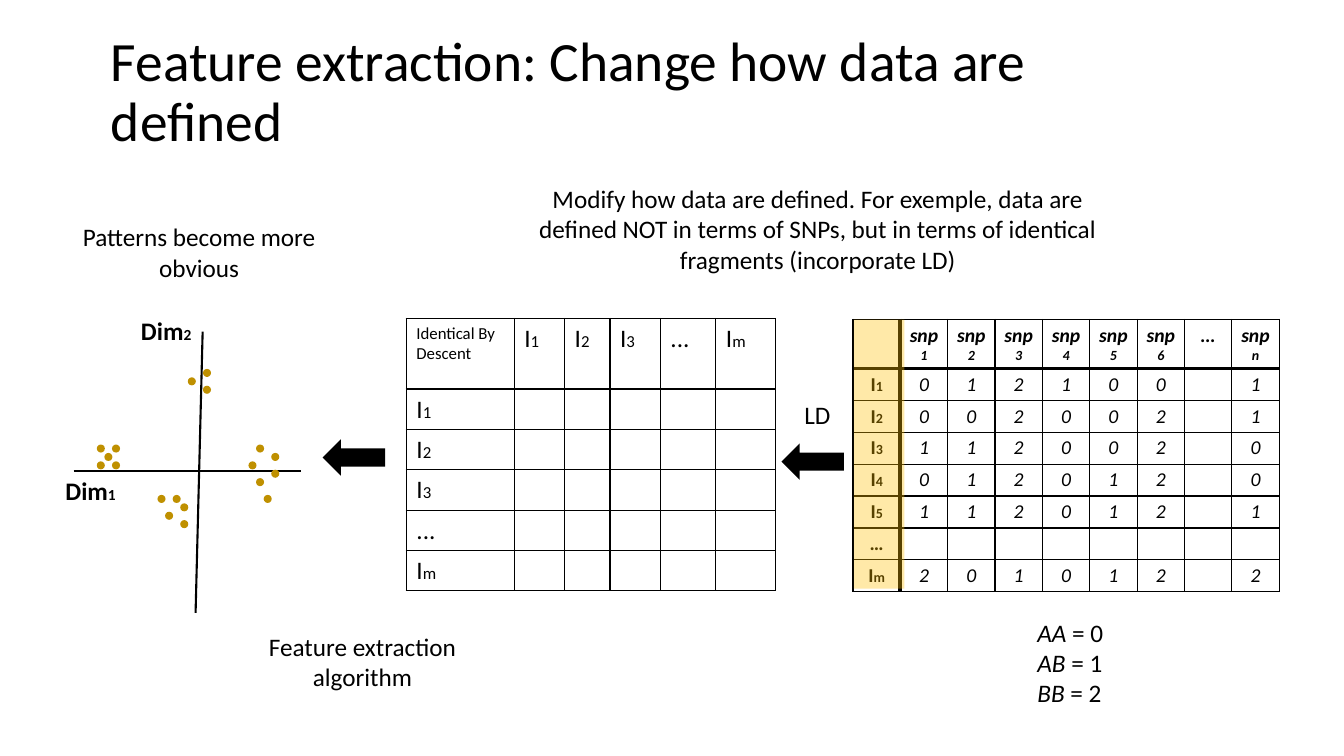
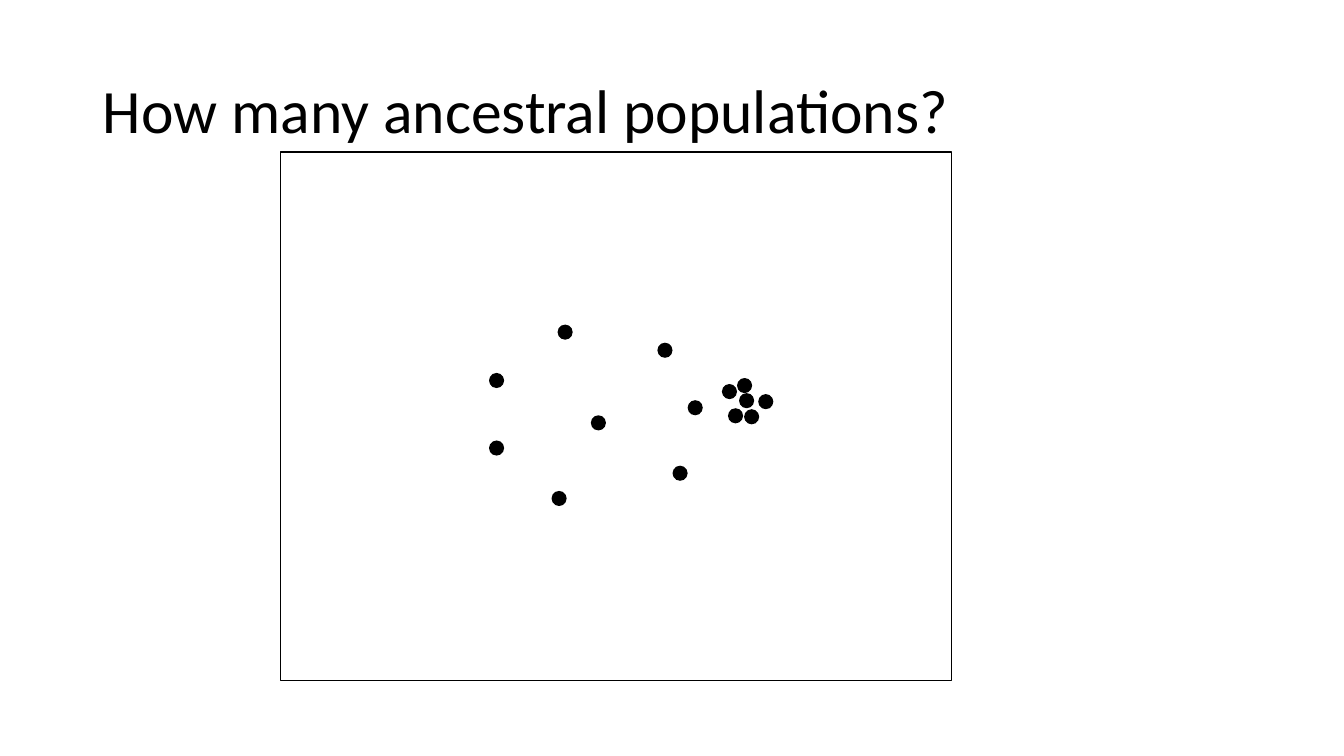
from dataclasses import dataclass

from lxml.etree import SubElement
from pptx import Presentation
from pptx.dml.color import RGBColor
from pptx.enum.shapes import MSO_CONNECTOR, MSO_SHAPE
from pptx.enum.text import MSO_ANCHOR, MSO_AUTO_SIZE, PP_ALIGN
from pptx.oxml.ns import qn
from pptx.util import Inches, Pt


@dataclass(frozen=True)
class Theme:
    """Colours, font and type sizes shared by the slides."""
    font: str = "Calibri"
    black: str = "000000"
    white: str = "FFFFFF"
    gold: str = "BF9000"
    highlight: str = "FFC000"
    title: float = 44
    long_title: float = 39.6
    body: float = 18
    cell: float = 14
    note: float = 12
    axis_subscript: float = 11
    cell_subscript: float = 10


@dataclass(frozen=True)
class Box:
    """A rectangle in inches."""
    left: float
    top: float
    width: float
    height: float

    def lengths(self):
        """Return the rectangle as slide lengths."""
        return [Inches(value) for value in (self.left, self.top, self.width, self.height)]

    def inner(self, left, top, width, height):
        """Return a rectangle placed relative to this one."""
        return Box(self.left + left, self.top + top, width, height)


THEME = Theme()
DOT_CLUSTERS = [
    [(20, 11), (21, 9), (21, 13), (22, 15), (23, 10), (23, 12)],
    [(12, 1), (14, 0), (14, 2)],
    [(0, 9), (0, 11), (1, 10), (2, 9), (2, 11)],
    [(8, 15), (9, 17), (10, 15), (11, 16), (11, 18)],
]
POPULATION_DOTS = [
    (2.07, 2.19), (2.69, 3.36), (3.08, 2.61), (2.75, 1.71), (3.89, 3.11),
    (3.74, 1.89), (2.07, 2.86), (4.04, 2.46), (4.44, 2.54), (4.55, 2.39),
    (4.53, 2.24), (4.38, 2.3), (4.6, 2.55), (4.74, 2.4),
]
INDIVIDUALS = ["I_1", "I_2", "I_3", "I_4", "I_5", "…", "I_m"]
GENOTYPES = ["012100 1", "002002 1", "112002 0", "012012 0", "112012 1", " " * 8, "201012 2"]
SNP_ROWS = [["", "snp_1", "snp_2", "snp_3", "snp_4", "snp_5", "snp_6", "…", "snp_n"]] + [
    [name, *calls.replace(" ", "-")] for name, calls in zip(INDIVIDUALS, GENOTYPES)
]
DESCENT_NAMES = ["I_1", "I_2", "I_3", "...", "I_m"]


def color(value):
    """Return a colour object for a hexadecimal value."""
    return RGBColor.from_string(value)


def style_paragraph(paragraph, size, bold=False, italic=False, align=PP_ALIGN.LEFT):
    """Set the shared font and the given style on a paragraph."""
    paragraph.alignment = align
    font = paragraph.font
    font.name, font.size, font.bold, font.italic = THEME.font, Pt(size), bold, italic
    font.color.rgb = color(THEME.black)


def write_label(paragraph, label, size, subscript_size=None, **style):
    """Write a label whose part after an underscore is set smaller."""
    style_paragraph(paragraph, size, **style)
    base, _, subscript = label.partition("_")
    paragraph.add_run().text = base
    if subscript:
        run = paragraph.add_run()
        run.text = subscript
        run.font.size = Pt(subscript_size)


def add_text_frame(shapes, box, wrap=True):
    """Add a text box that grows with its text and return its frame."""
    frame = shapes.add_textbox(*box.lengths()).text_frame
    frame.word_wrap = wrap
    frame.auto_size = MSO_AUTO_SIZE.SHAPE_TO_FIT_TEXT
    return frame


def add_caption(slide, box, text):
    """Add a centred body caption."""
    paragraph = add_text_frame(slide.shapes, box).paragraphs[0]
    write_label(paragraph, text, THEME.body, align=PP_ALIGN.CENTER)


def add_filled_shape(shapes, kind, box, fill, line=None):
    """Add a flat preset shape."""
    shape = shapes.add_shape(kind, *box.lengths())
    shape.shadow.inherit = False
    shape.fill.solid()
    shape.fill.fore_color.rgb = color(fill)
    if line:
        shape.line.color.rgb = color(line)
        shape.line.width = Pt(1)
    else:
        shape.line.fill.background()
    return shape


def add_axis(shapes, start, end):
    """Add a straight axis between two points in inches."""
    points = [Inches(value) for value in (*start, *end)]
    axis = shapes.add_connector(MSO_CONNECTOR.STRAIGHT, *points)
    axis.line.color.rgb = color(THEME.black)
    axis.line.width = Pt(1.5)
    SubElement(axis._element.spPr, qn("a:effectLst"))


def add_title_slide(presentation, box, text, size):
    """Add a title-only slide with its title placed and styled."""
    slide = presentation.slides.add_slide(presentation.slide_layouts[5])
    title = slide.shapes.title
    title.left, title.top, title.width, title.height = box.lengths()
    frame = title.text_frame
    frame.vertical_anchor = MSO_ANCHOR.MIDDLE
    frame.auto_size = MSO_AUTO_SIZE.NONE
    frame.word_wrap = True
    paragraph = frame.paragraphs[0]
    write_label(paragraph, text, size)
    paragraph.line_spacing = 0.9
    return slide


def set_borders(cell, **widths):
    """Draw solid borders of the given point widths on a cell."""
    properties = cell._tc.get_or_add_tcPr()
    for side in "LRTB":
        line = SubElement(properties, qn(f"a:ln{side}"), w=str(Pt(widths.get(side, 1))))
        fill = SubElement(line, qn("a:solidFill"))
        SubElement(fill, qn("a:srgbClr"), val=THEME.black)


def add_plain_table(slide, box, widths, heights):
    """Add a table without banding or header style."""
    table = slide.shapes.add_table(len(heights), len(widths), *box.lengths()).table
    table.first_row = table.horz_banding = False
    for column, width in zip(table.columns, widths):
        column.width = Inches(width)
    for row, height in zip(table.rows, heights):
        row.height = Inches(height)
    return table


def fill_cell(cell, label, size, subscript_size, **style):
    """Write a cell label, or keep an empty cell at the given size."""
    cell.fill.background()
    paragraph = cell.text_frame.paragraphs[0]
    if label:
        write_label(paragraph, label, size, subscript_size, **style)
    else:
        SubElement(paragraph._p, qn("a:endParaRPr"), sz=str(size * 100))


def add_snp_table(slide, box):
    """Add the genotype table with a heavy header row and first column."""
    table = add_plain_table(slide, box, [box.width / 9] * 9, [0.48] + [0.31] * 7)
    for row, labels in enumerate(SNP_ROWS):
        for column, label in enumerate(labels):
            cell = table.cell(row, column)
            cell.margin_left = cell.margin_right = Inches(0.08)
            cell.margin_top = cell.margin_bottom = Inches(0.04)
            set_borders(
                cell,
                L=3 if column == 1 else 1,
                R=3 if column == 0 else 1,
                T=3 if row == 1 else 1,
                B=3 if row == 0 else 1,
            )
            fill_cell(
                cell, label.strip("-"), THEME.cell, THEME.cell_subscript,
                bold=row == 0 or column == 0,
                italic=row == 0 or column > 0,
                align=PP_ALIGN.CENTER,
            )


def add_descent_table(slide, box):
    """Add the empty identical-by-descent matrix."""
    widths = [1.07, 0.5, 0.45, 0.5, 0.55, 0.59]
    table = add_plain_table(slide, box, widths, [0.7] + [0.4] * 5)
    rows = [["Identical By Descent"] + DESCENT_NAMES]
    rows += [[name] + [""] * 5 for name in DESCENT_NAMES]
    for row, labels in enumerate(rows):
        for column, label in enumerate(labels):
            cell = table.cell(row, column)
            set_borders(cell)
            size = THEME.note if row == column == 0 else THEME.body
            fill_cell(cell, label, size, THEME.note)


def add_highlight(slide, box):
    """Add a translucent band over the individuals."""
    band = add_filled_shape(slide.shapes, MSO_SHAPE.RECTANGLE, box, THEME.highlight)
    fill = band._element.spPr.find(qn("a:solidFill"))
    SubElement(fill[0], qn("a:alpha"), val="34000")


def add_scatter(slide, box):
    """Add the grouped axes, labels and clustered dots."""
    shapes = slide.shapes.add_group_shape().shapes
    left, top = box.left, box.top
    add_axis(shapes, (left + 1.46, top + 0.21), (left + 1.39, top + box.height))
    add_axis(shapes, (left + 0.18, top + 1.59), (left + box.width, top + 1.59))
    for cluster in DOT_CLUSTERS:
        for column, row in cluster:
            dot = box.inner(0.41 + column * 1.73 / 23, 0.58 + row * 1.5 / 18, 0.08, 0.08)
            add_filled_shape(shapes, MSO_SHAPE.OVAL, dot, THEME.gold)
    for label, x, y in [("Dim_1", 0, 1.59), ("Dim_2", 0.75, 0)]:
        frame = add_text_frame(shapes, box.inner(x, y, 0.71, 0.4), wrap=False)
        write_label(frame.paragraphs[0], label, THEME.body, THEME.axis_subscript, bold=True)


def add_genotype_key(slide, box):
    """Add the key from genotype to number."""
    frame = add_text_frame(slide.shapes, box, wrap=False)
    for code, genotype in enumerate(["AA", "AB", "BB"]):
        paragraph = frame.add_paragraph() if code else frame.paragraphs[0]
        write_label(paragraph, genotype, THEME.body)
        paragraph.runs[0].font.italic = True
        paragraph.add_run().text = f" = {code}"


def build_extraction_slide(presentation):
    """Build the feature extraction slide."""
    slide = add_title_slide(
        presentation, Box(1, 0.3, 11.02, 1.25),
        "Feature extraction: Change how data are defined", THEME.long_title,
    )
    add_snp_table(slide, Box(8.46, 3.17, 4.23, 2.65))
    add_genotype_key(slide, Box(10.19, 6.07, 0.86, 1.01))
    add_scatter(slide, Box(0.55, 3.08, 2.44, 3))
    add_highlight(slide, Box(8.47, 3.17, 0.5, 2.67))
    add_descent_table(slide, Box(4.03, 3.16, 3.66, 2.7))
    for left, top in [(7.75, 4.4), (3.2, 4.36)]:
        arrow = Box(left, top, 0.62, 0.36)
        add_filled_shape(slide.shapes, MSO_SHAPE.LEFT_ARROW, arrow, THEME.black)
    label = add_text_frame(slide.shapes, Box(7.88, 3.91, 0.46, 0.4), wrap=False)
    write_label(label.paragraphs[0], "LD", THEME.body)
    add_caption(
        slide, Box(5.14, 1.77, 5.94, 1.01),
        "Modify how data are defined. For exemple, data are defined NOT in terms of SNPs, "
        "but in terms of identical fragments (incorporate LD)",
    )
    add_caption(slide, Box(2.34, 6.21, 2.51, 0.71), "Feature extraction algorithm")
    add_caption(slide, Box(0.72, 2.15, 2.51, 0.71), "Patterns become more obvious")


def add_population_plot(slide, box):
    """Add the framed plot of individuals."""
    add_filled_shape(slide.shapes, MSO_SHAPE.RECTANGLE, box, THEME.white, THEME.black)
    for x, y in POPULATION_DOTS:
        add_filled_shape(slide.shapes, MSO_SHAPE.OVAL, box.inner(x, y, 0.15, 0.15), THEME.black)


def build_population_slide(presentation):
    """Build the ancestral populations slide."""
    slide = add_title_slide(
        presentation, Box(0.92, 0.4, 11.5, 1.45),
        "How many ancestral populations?", THEME.title,
    )
    add_population_plot(slide, Box(2.78, 1.51, 6.66, 5.24))


def main():
    """Build and save the presentation."""
    presentation = Presentation()
    presentation.slide_width, presentation.slide_height = Inches(13.33), Inches(7.5)
    build_extraction_slide(presentation)
    build_population_slide(presentation)
    presentation.save("out.pptx")


if __name__ == "__main__":
    main()
